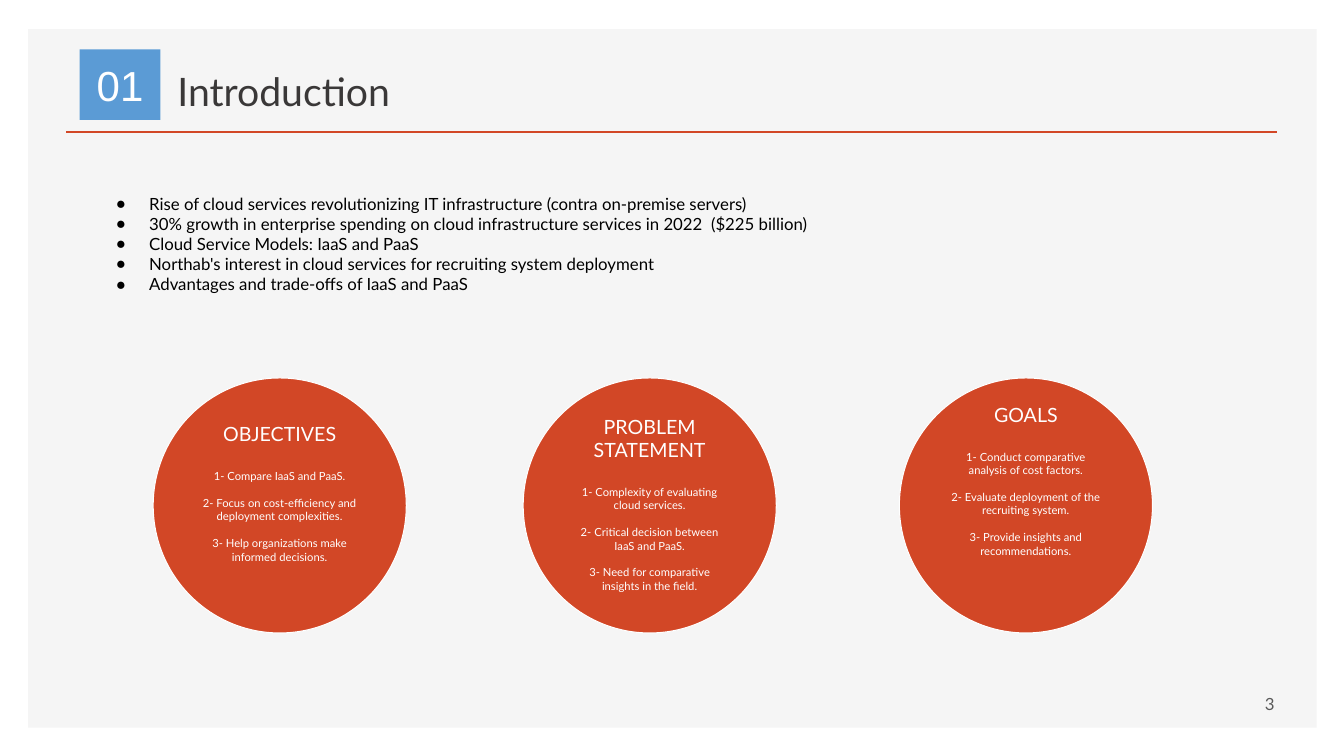
from pptx import Presentation
from pptx.dml.color import RGBColor
from pptx.enum.shapes import MSO_CONNECTOR as Conn, MSO_SHAPE as Kind
from pptx.enum.text import MSO_ANCHOR as Anchor, MSO_AUTO_SIZE as Auto, PP_ALIGN as Align
from pptx.oxml.ns import qn
from pptx.util import Inches, Pt
from lxml.etree import SubElement as Sub

RED, BLUE, GREY, WHITE = "D24726", "5B9BD5", "F5F5F5", "FFFFFF"
BLACK, DARK, MID = "000000", "3A3838", "595959"


def tint(code):
    return RGBColor.from_string(code)


def put(item, form):
    for name, val in form.items():
        setattr(item, name, val)


class Board:
    font = "Lato"

    def __init__(self, deck):
        self.col = deck.slide_width / 100
        self.row = deck.slide_height / 100
        self.slide = deck.slides.add_slide(deck.slide_layouts[1])
        self.shapes = self.slide.shapes

    def box(self, x, y, w, h):
        return [round(n) for n in (x * self.col, y * self.row, w * self.col, h * self.row)]

    def frame(self, shape, pad, **form):
        text = shape.text_frame
        put(text, {"word_wrap": True, "auto_size": Auto.NONE,
                   "margin_left": Inches(0.1), "margin_right": Inches(0.1),
                   "margin_top": Inches(pad), "margin_bottom": Inches(pad), **form})
        return text

    def fill(self, text, lines, size, color, font=None, **form):
        for line in lines:
            para = text.paragraphs[0]
            if para.runs:
                para = text.add_paragraph()
            put(para, {"alignment": Align.LEFT, "space_before": Pt(0), **form})
            run = para.add_run()
            put(run, {"text": line})
            put(run.font, {"size": Pt(size), "name": font or self.font})
            run.font.color.rgb = tint(color)

    def holder(self, index, area):
        shape = self.slide.placeholders[index]
        put(shape, dict(zip(("left", "top", "width", "height"), self.box(*area))))
        shape.element.getparent().append(shape.element)
        return shape

    def title(self, area, words):
        text = self.frame(self.holder(0, area), 0.05, vertical_anchor=Anchor.BOTTOM)
        self.fill(text, [words], 28, DARK)

    def bullets(self, area, lines):
        text = self.frame(self.holder(1, area), 0.1, vertical_anchor=Anchor.TOP)
        self.fill(text, lines, 12, BLACK)
        for para in text.paragraphs:
            props = para._p.get_or_add_pPr()
            for name, val in {"marL": 0.5, "indent": -0.33}.items():
                props.set(name, str(int(Inches(val))))
            Sub(Sub(props, qn("a:buClr")), qn("a:srgbClr"), val=BLACK)
            Sub(props, qn("a:buFont"), typeface="Arial")
            Sub(props, qn("a:buChar"), char="●")

    def shape(self, kind, area, color, edge=None):
        shape = self.shapes.add_shape(kind, *self.box(*area))
        shape.shadow.inherit = False
        shape.fill.solid()
        shape.fill.fore_color.rgb = tint(color)
        if edge:
            shape.line.color.rgb = tint(edge)
            shape.line.width = Pt(0.75)
        else:
            shape.line.fill.background()
        return shape

    def rule(self, x, y, end):
        left, top, width, _ = self.box(x, y, end - x, 0)
        line = self.shapes.add_connector(Conn.STRAIGHT, left, top, left + width, top)
        line.line.color.rgb = tint(RED)
        line.line.width = Pt(2)
        Sub(line.element.spPr, qn("a:effectLst"))

    def badge(self, area, words):
        shape = self.shape(Kind.RECTANGLE, area, BLUE)
        text = self.frame(shape, 0.1, vertical_anchor=Anchor.BOTTOM)
        self.fill(text, [words], 30, WHITE, "Arial", alignment=Align.CENTER)

    def label(self, area, words):
        text = self.frame(self.shapes.add_textbox(*self.box(*area)), 0.05,
                          vertical_anchor=Anchor.MIDDLE)
        self.fill(text, [words], 12, MID, alignment=Align.RIGHT)

    def disc(self, area, foot, head, items):
        shape = self.shape(Kind.OVAL, area, RED, WHITE)
        text = self.frame(shape, 0, vertical_anchor=Anchor.BOTTOM,
                          margin_bottom=round(foot * self.row))
        self.fill(text, [head], 14, WHITE, alignment=Align.CENTER)
        for item, gap in zip(items, (16.8, 9.6, 9.6)):
            self.fill(text, [item], 8, WHITE, alignment=Align.CENTER, space_before=Pt(gap))


POINTS = [
    "Rise of cloud services revolutionizing IT infrastructure (contra on-premise servers)",
    "30% growth in enterprise spending on cloud infrastructure services in 2022  ($225 billion)",
    "Cloud Service Models: IaaS and PaaS",
    "Northab's interest in cloud services for recruiting system deployment",
    "Advantages and trade-offs of IaaS and PaaS",
]
DISCS = [
    (11.4, 4.27, "OBJECTIVES", [
        "1- Compare IaaS and PaaS.",
        "2- Focus on cost-efficiency and deployment complexities.",
        "3- Help organizations make informed decisions."]),
    (38.93, 0.4, "PROBLEM STATEMENT", [
        "1- Complexity of evaluating cloud services.",
        "2- Critical decision between IaaS and PaaS.",
        "3- Need for comparative insights in the field."]),
    (66.92, 5.07, "GOALS", [
        "1- Conduct comparative analysis of cost factors.",
        "2- Evaluate deployment of the recruiting system.",
        "3- Provide insights and recommendations."]),
]


def main():
    deck = Presentation()
    put(deck, {"slide_width": Inches(13.33), "slide_height": Inches(7.5)})
    board = Board(deck)
    board.shape(Kind.RECTANGLE, (2.1, 3.87, 95.87, 92.4), GREY)
    board.rule(4.95, 17.47, 95.05)
    board.title((12.45, 6.53, 48.24, 9.33), "Introduction")
    board.badge((5.93, 6.53, 6, 9.33), "01")
    board.label((68.72, 90.4, 26.86, 5.33), "3")
    board.bullets((6.6, 24.27, 84.02, 19.6), POINTS)
    for left, foot, head, items in DISCS:
        board.disc((left, 50, 18.83, 33.73), foot, head, items)
    deck.save("out.pptx")


if __name__ == "__main__":
    main()
